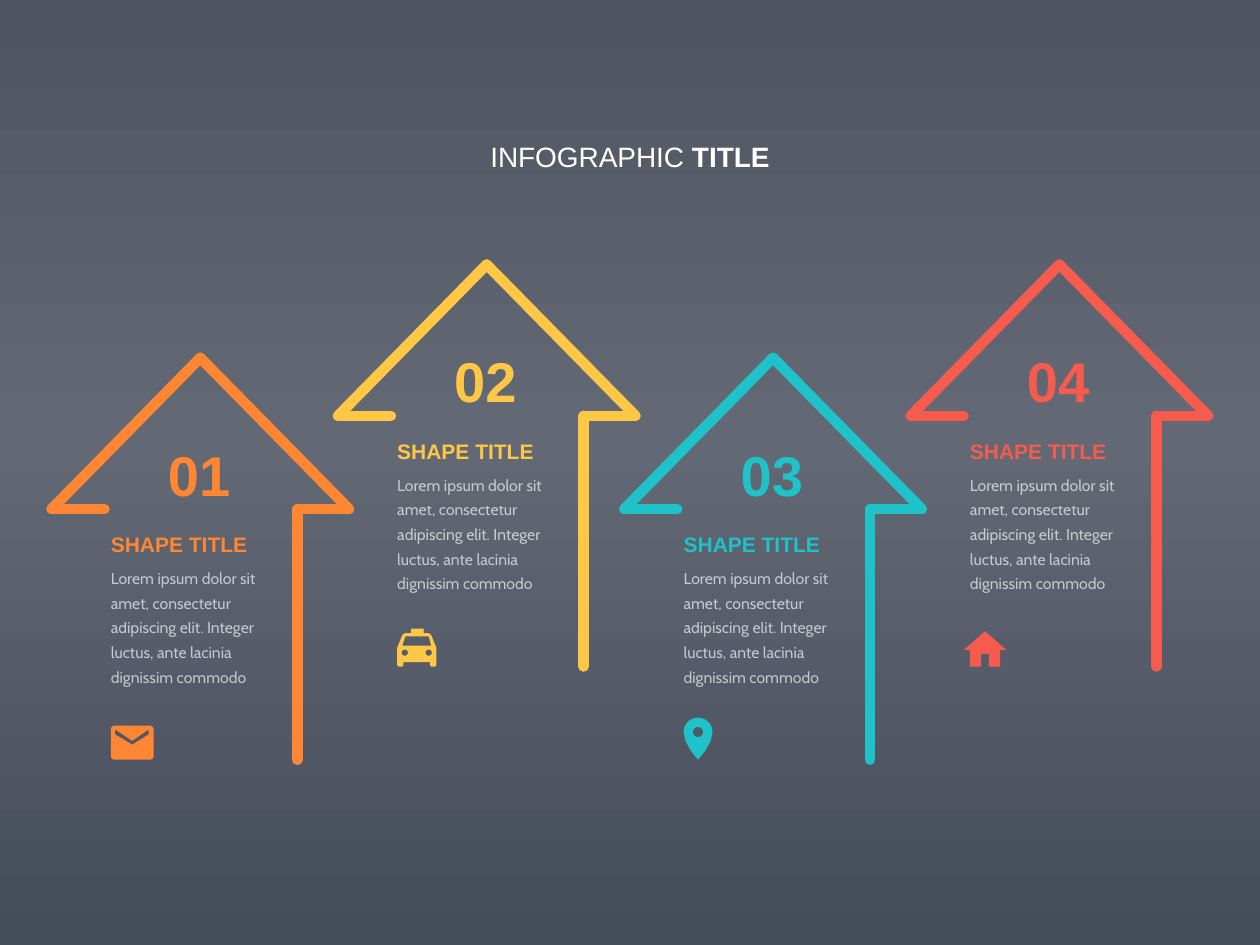
"""Build a slide of four stepped outline arrows, each with a number, text and icon."""
from copy import deepcopy
from math import cos, radians, sin

from pptx import Presentation, util as u
from pptx.dml.color import RGBColor
from pptx.enum import shapes, text
from pptx.oxml import ns, xmlchemy

rgb = RGBColor.from_string


def arc(cx, cy, radius, start, stop):
    return [(cx + radius * cos(radians(a)), cy + radius * sin(radians(a)))
            for a in range(start, stop + 1, 15)]


def add_words(left, top, width, height, runs, size, color, font="Arial",
              align=text.PP_ALIGN.LEFT, anchor=text.MSO_ANCHOR.MIDDLE):
    frame = slide.shapes.add_textbox(*map(u.Inches, (left, top, width, height))).text_frame
    frame.margin_left = frame.margin_right = frame.margin_top = frame.margin_bottom = 0
    frame.word_wrap = True
    frame.auto_size = text.MSO_AUTO_SIZE.SHAPE_TO_FIT_TEXT
    frame.vertical_anchor = anchor
    frame.paragraphs[0].alignment = align
    for words, bold in runs:
        run = frame.paragraphs[0].add_run()
        run.text = words
        run.font.name, run.font.size, run.font.bold = font, u.Pt(size), bold
        run.font.color.rgb = rgb(color)
    return frame


WIDTH, HEIGHT = 10, 7.5
COLUMN = WIDTH / 4.4
FIRST_LEFT, LOW_BASE, RISE = 0.88, 4.04, 0.74
SHAFT_LENGTH, TEXT_WIDTH = 1.99, 1.28
LOREM = ("Lorem ipsum dolor sit amet, consectetur adipiscing elit. "
         "Integer luctus, ante lacinia dignissim commodo")

wing_left, wing_right, notch, shaft = (-0.47, 0), (1.89, 0), (-0.05, 0), (1.48, 0)
apex, shaft_foot = (0.71, -1.2), (1.48, SHAFT_LENGTH)
strokes = [(wing_left, apex), (wing_right, apex), (shaft, wing_right),
           (wing_left, notch), (shaft, shaft_foot)]

envelope = [
    arc(3, -24, 3, 180, 270) + arc(31, -24, 3, 270, 360)
    + arc(31, -3, 3, 0, 90) + arc(3, -3, 3, 90, 180),
    [(30, -20), (17, -12), (3.5, -20), (3.5, -24), (17, -15), (30, -24)],
]
taxi = [
    [(27, -25), (25, -26.5), (21, -26.5), (21, -30), (11, -30), (11, -26.5), (6, -26.5),
     (4, -25), (0, -15), (0, -1), (1, 0), (4, 0), (5, -1), (5, -3.5), (26, -3.5),
     (26, -1), (27, 0), (30, 0), (31, -1), (31, -15)],
    arc(6, -11, 2.5, 0, 345),
    arc(25, -11, 2.5, 0, 345),
    [(4, -16.5), (6.5, -24), (25, -24), (27, -16.5)],
]
pin = [
    arc(11.5, -22, 11.5, 180, 360)
    + [(21.5, -15), (17.5, -7.5), (11.5, 0), (5.5, -7.5), (1.5, -15)],
    arc(11.5, -22, 4, 0, 345),
]
house = [[(9, 0), (9, -10), (15, -10), (15, 0), (24, 0), (24, -13), (29, -13),
          (12, -28), (-5, -13), (0, -13), (0, 0)]]

deck = Presentation()
deck.slide_width, deck.slide_height = u.Inches(WIDTH), u.Inches(HEIGHT)
slide = deck.slides.add_slide(deck.slide_layouts[6])

backdrop = slide.background.fill
backdrop.gradient()
backdrop.gradient_angle = 270
stop_list = slide.element.find(".//" + ns.qn("a:gsLst"))
stop_list.insert(1, deepcopy(stop_list[0]))
for stop, (position, shade) in zip(backdrop.gradient_stops,
                                   [(0, "4F5461"), (0.46, "636875"), (1, "454C59")]):
    stop.position, stop.color.rgb = position, rgb(shade)

steps = [("FF8734", envelope), ("FEC846", taxi), ("1EC2C8", pin), ("F65C4E", house)]
for index, (color, icon) in enumerate(steps):
    left = FIRST_LEFT + index * COLUMN
    base = LOW_BASE - RISE * (index % 2)
    foot = base + SHAFT_LENGTH

    outlines = [[(u.Inches(left + x / 100), u.Inches(foot + y / 100)) for x, y in outline]
                for outline in icon]
    builder = slide.shapes.build_freeform(*outlines[0][0])
    builder.add_line_segments(outlines[0][1:])
    for hole in outlines[1:]:
        builder.move_to(*hole[0])
        builder.add_line_segments(hole[1:])
    symbol = builder.convert_to_shape()
    symbol.shadow.inherit = False
    symbol.fill.solid()
    symbol.fill.fore_color.rgb = rgb(color)
    symbol.line.fill.background()

    arrow = slide.shapes.add_group_shape()
    for (x1, y1), (x2, y2) in strokes:
        stroke = arrow.shapes.add_connector(
            shapes.MSO_CONNECTOR.STRAIGHT,
            *map(u.Inches, (left + x1, base + y1, left + x2, base + y2)))
        stroke.line.color.rgb, stroke.line.width = rgb(color), u.Pt(6)
        outline = stroke.line._get_or_add_ln()
        outline.set("cap", "rnd")
        outline.append(xmlchemy.OxmlElement("a:round"))
        outline.getparent().append(xmlchemy.OxmlElement("a:effectLst"))

    body = add_words(left, base + 0.43, TEXT_WIDTH, 0.96, [(LOREM, False)], 9, "FFFFFF",
                     font="Cabin", anchor=text.MSO_ANCHOR.TOP)
    body.paragraphs[0].line_spacing = 1.3
    alpha = xmlchemy.OxmlElement("a:alpha")
    alpha.set("val", "65000")
    body.paragraphs[0].runs[0].font._element.find(".//" + ns.qn("a:srgbClr")).append(alpha)
    add_words(left, base + 0.18, TEXT_WIDTH, 0.2, [("SHAPE TITLE", True)], 12, color)
    add_words(left + 0.06, base - 0.55, TEXT_WIDTH, 0.54, [(f"{index + 1:02}", True)], 32, color,
              align=text.PP_ALIGN.CENTER)

heading = add_words(3.47, 1.09, 3.06, 0.3, [("INFOGRAPHIC", False), (" TITLE", True)], 16,
                    "FFFFFF", align=text.PP_ALIGN.CENTER)
heading.auto_size = text.MSO_AUTO_SIZE.NONE

deck.save("out.pptx")
